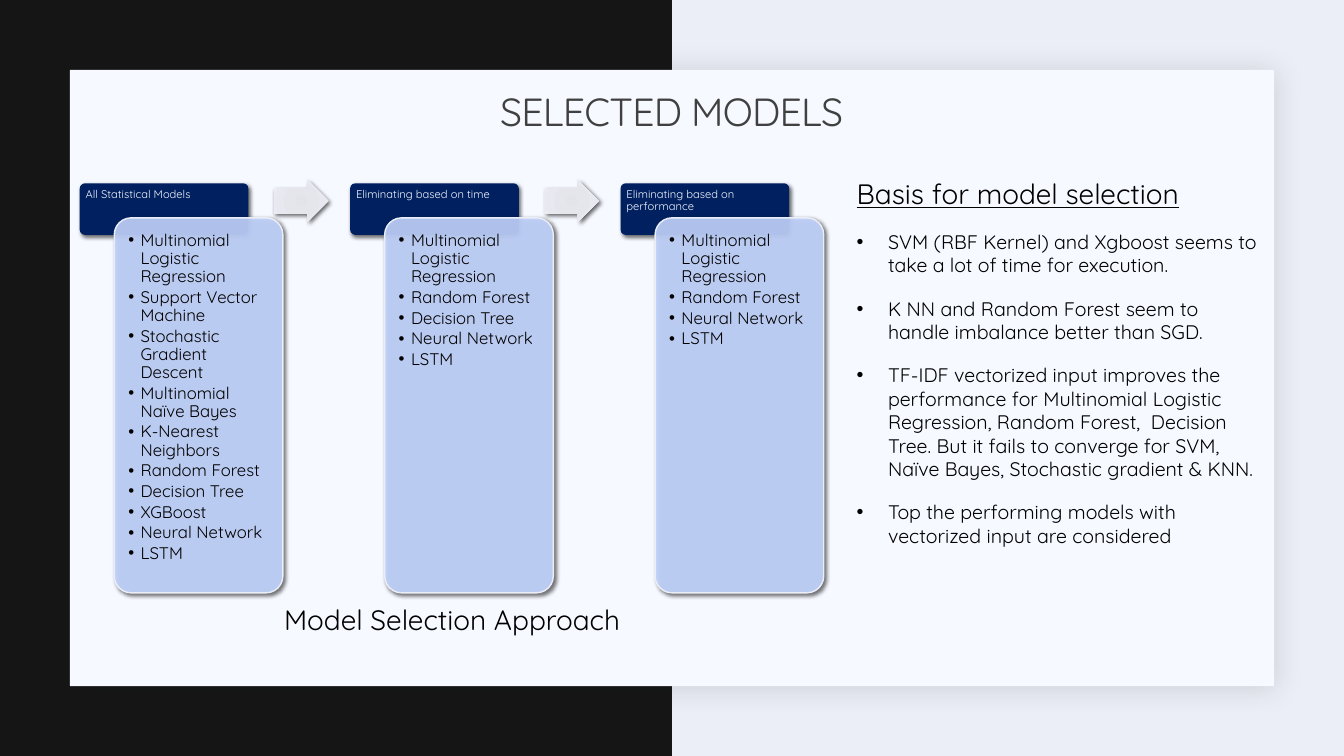
from lxml import etree
from pptx import Presentation
from pptx import util as u
from pptx.dml.color import RGBColor
from pptx.enum import shapes, text
from pptx.oxml import parse_xml
from pptx.oxml.ns import qn

Cm, Pt = u.Cm, u.Pt
FONT = "Quicksand"
NS = 'xmlns:a="http://schemas.openxmlformats.org/drawingml/2006/main"'
BLACK, PALE, PANEL = "000000", "ECEEF7", "F6F9FF"
MODEL_SHADOW = ("000000", 60, 3, 2)
ARROW_STOPS = [(0, "E2E4EA"), (34, "E5E6EC"), (70, "E8E9F0"), (100, "F4F5FB")]

FIRST = "Multinomial Logistic Regression"
STAGES = [
    ("All Statistical Models",
     [FIRST, "Support Vector Machine", "Stochastic Gradient Descent",
      "Multinomial Naïve Bayes", "K-Nearest Neighbors", "Random Forest",
      "Decision Tree", "XGBoost", "Neural Network", "LSTM"]),
    ("Eliminating based on time",
     [FIRST, "Random Forest", "Decision Tree", "Neural Network", "LSTM"]),
    ("Eliminating based on performance",
     [FIRST, "Random Forest", "Neural Network", "LSTM"]),
]
REASONS = [
    "SVM (RBF Kernel) and Xgboost seems to take a lot of time for execution.",
    "K NN and Random Forest seem to handle imbalance better than SGD.",
    "TF-IDF vectorized input improves the performance for Multinomial Logistic "
    "Regression, Random Forest,  Decision Tree. But it fails to converge for SVM, "
    "Naïve Bayes, Stochastic gradient & KNN.",
    "Top the performing models with vectorized input are considered",
]


def rgb(value):
    return RGBColor.from_string(value)


def add_shadow(sp, color, alpha, blur, dist):
    """Cast a shadow down and to the right; blur and distance in points."""
    sp._element.spPr.append(parse_xml(
        f'<a:effectLst {NS}><a:outerShdw blurRad="{Pt(blur)}" dist="{Pt(dist)}" '
        f'dir="2700000" algn="tl" rotWithShape="0"><a:srgbClr val="{color}">'
        f'<a:alpha val="{alpha * 1000}"/></a:srgbClr></a:outerShdw></a:effectLst>'))


def add_block(slide, kind, box, fill, adj=(), line=None, shadow=None):
    sp = slide.shapes.add_shape(kind, *map(Cm, box))
    for i, value in enumerate(adj):
        sp.adjustments[i] = value
    sp.fill.solid()
    sp.fill.fore_color.rgb = rgb(fill)
    if line:
        sp.line.color.rgb = rgb(line)
        sp.line.width = Pt(1)
    else:
        sp.line.fill.background()
    if shadow:
        add_shadow(sp, *shadow)
    else:
        sp.shadow.inherit = False
    return sp


def set_frame(tf, insets, anchor=text.MSO_ANCHOR.TOP):
    """Insets run left, top, right, bottom in centimetres."""
    tf.word_wrap = True
    tf.vertical_anchor = anchor
    for side, inset in zip(("left", "top", "right", "bottom"), insets):
        setattr(tf, f"margin_{side}", Cm(inset))


def add_bullet(p, indent, color):
    pPr = p._p.get_or_add_pPr()
    pPr.set("marL", str(Cm(indent)))
    pPr.set("indent", str(-Cm(indent)))
    clr = etree.SubElement(pPr, qn("a:buClr"))
    etree.SubElement(clr, qn("a:srgbClr")).set("val", color)
    etree.SubElement(pPr, qn("a:buFont")).set("typeface", "Arial")
    etree.SubElement(pPr, qn("a:buChar")).set("char", "•")


def add_text(tf, words, size, color, bullet=None, underline=False, **layout):
    """Fill the empty first paragraph of the frame, or add one below."""
    first = not tf.paragraphs[0].runs
    p = tf.paragraphs[0] if first else tf.add_paragraph()
    if bullet:
        add_bullet(p, bullet, color)
    layout = {"alignment": text.PP_ALIGN.LEFT, **layout}
    if first:
        layout.pop("space_before", None)
    for name, value in layout.items():
        setattr(p, name, value)
    r = p.add_run()
    r.text = words
    look = {"name": FONT, "size": Pt(size), "underline": underline}
    for name, value in look.items():
        setattr(r.font, name, value)
    r.font.color.rgb = rgb(color)
    return r


def add_backdrop(slide, width, height):
    slide.background.fill.solid()
    slide.background.fill.fore_color.rgb = rgb(PALE)
    rect = shapes.MSO_SHAPE.RECTANGLE
    add_block(slide, rect, (0, 0, width / 2, height), "141514")
    margin = 1.76
    add_block(slide, rect, (margin, margin, width - 2 * margin, height - 2 * margin),
              PANEL, shadow=("1F2125", 15, 20, 2))


def add_heading(slide, box, words, size, color, anchor, spacing=0, **layout):
    tf = slide.shapes.add_textbox(*map(Cm, box)).text_frame
    set_frame(tf, (0, 0.13, 0, 0.13), anchor)
    r = add_text(tf, words, size, color, alignment=text.PP_ALIGN.CENTER, **layout)
    if spacing:
        r._r.get_or_add_rPr().set("spc", str(round(spacing * 100)))


def add_stage(slide, box, title, models):
    """A dark header tab with the list card overlapping its lower right."""
    x, y, w, h = box
    offset, card_w = 0.87, w - 0.87
    rounded = shapes.MSO_SHAPE.ROUNDED_RECTANGLE
    tab = add_block(slide, rounded, (x, y, card_w, 1.3), "002060", [0.1],
                    shadow=MODEL_SHADOW)
    set_frame(tab.text_frame, (0.11, 0.11, 0.11, 0.08))
    add_text(tab.text_frame, title, 8, PANEL, line_spacing=0.9)

    card = add_block(slide, rounded, (x + offset, y + offset, card_w, h - offset),
                     "C3D5FF", [0.1], PALE, MODEL_SHADOW)
    clr = card._element.spPr.find(qn("a:solidFill"))[0]
    etree.SubElement(clr, qn("a:alpha")).set("val", "90000")
    set_frame(card.text_frame, (0.23,) * 4)
    for model in models:
        add_text(card.text_frame, model, 12, BLACK, bullet=0.31,
                 line_spacing=0.9, space_after=Pt(1.8))


def add_arrow(slide, box):
    sp = add_block(slide, shapes.MSO_SHAPE.RIGHT_ARROW, box, PALE, [0.6, 0.5],
                   shadow=MODEL_SHADOW)
    stops = "".join(f'<a:gs pos="{pos * 1000}"><a:srgbClr val="{color}"/></a:gs>'
                    for pos, color in ARROW_STOPS)
    spPr = sp._element.spPr
    spPr.replace(spPr.find(qn("a:solidFill")), parse_xml(
        f'<a:gradFill {NS} rotWithShape="1"><a:gsLst>{stops}</a:gsLst>'
        '<a:path path="circle"><a:fillToRect l="100000" t="100000" r="100000" '
        'b="100000"/></a:path></a:gradFill>'))


def add_process(slide, box):
    x, y, w, h = box
    stage_w = 5.12
    pitch = (w - stage_w) / (len(STAGES) - 1)
    for i, (title, models) in enumerate(STAGES):
        left = x + i * pitch
        add_stage(slide, (left, y, stage_w, h), title, models)
        if i < len(STAGES) - 1:
            add_arrow(slide, (left + 4.9, y - 0.09, 1.37, 1.07))


def add_reasons(slide, box):
    tf = slide.shapes.add_textbox(*map(Cm, box)).text_frame
    set_frame(tf, (0, 0.13, 0, 0.13))
    gaps = {"space_before": Pt(12), "space_after": Pt(2)}
    add_text(tf, "Basis for model selection", 20, BLACK, underline=True, **gaps)
    for reason in REASONS:
        add_text(tf, reason, 14, BLACK, bullet=0.79, **gaps)


def main():
    prs = Presentation()
    width, height = 33.87, 19.05
    prs.slide_width, prs.slide_height = Cm(width), Cm(height)
    slide = prs.slides.add_slide(prs.slide_layouts[6])
    add_backdrop(slide, width, height)
    add_heading(slide, (10.14, 2.06, 13.57, 1.62), "SELECTED MODELS", 28, "404040",
                text.MSO_ANCHOR.MIDDLE, spacing=-0.5, line_spacing=0.9)
    add_process(slide, (2.01, 4.62, 18.75, 10.32))
    add_heading(slide, (6.25, 15.04, 10.29, 1.62), "Model Selection Approach", 20,
                BLACK, text.MSO_ANCHOR.TOP, space_after=Pt(2))
    add_reasons(slide, (21.59, 4.32, 10.26, 10.39))
    prs.save("out.pptx")


if __name__ == "__main__":
    main()
